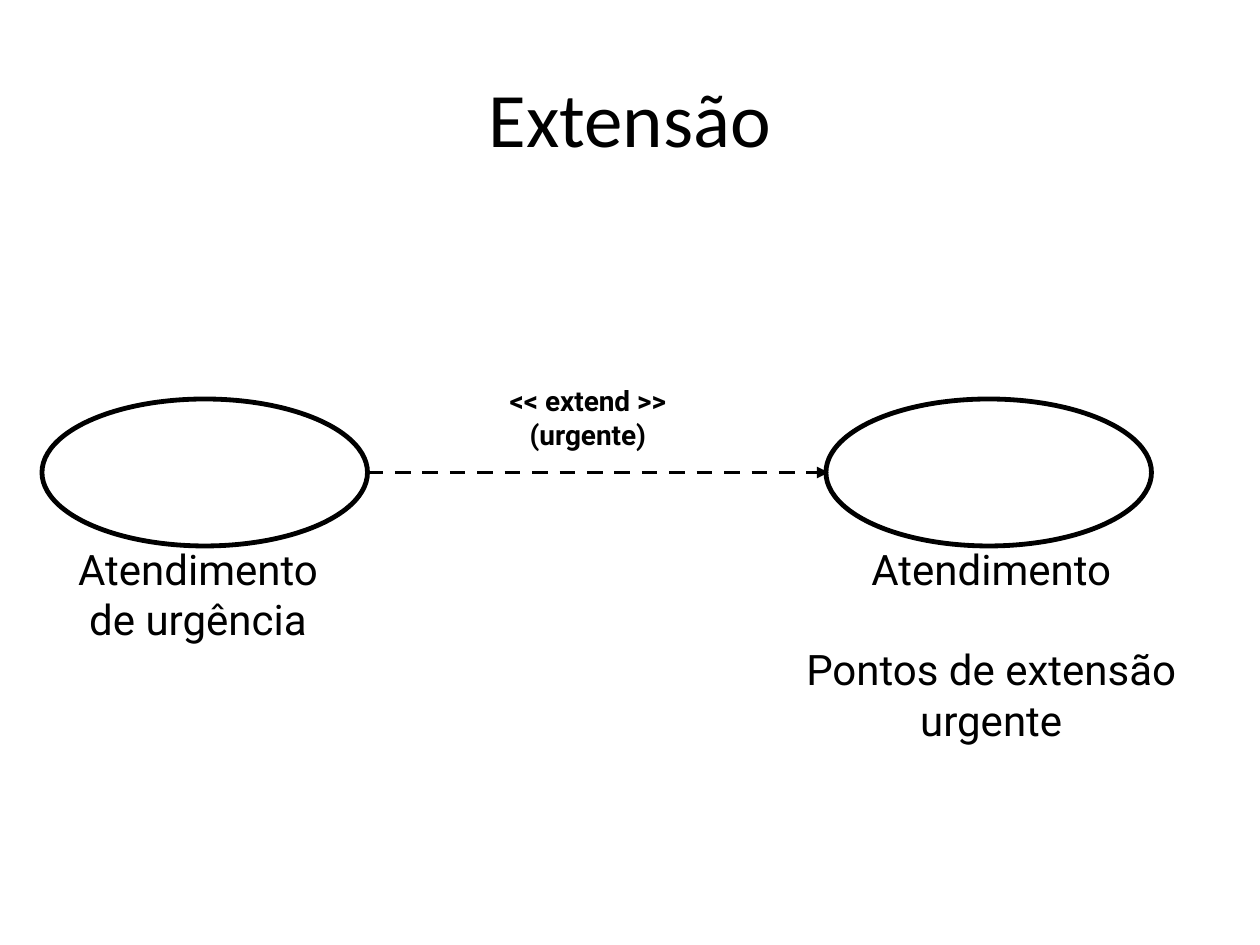
from dataclasses import dataclass

import pptx
import pptx.dml.color
import pptx.enum.dml
import pptx.enum.shapes
import pptx.enum.text
import pptx.oxml
import pptx.oxml.ns
import pptx.util

Pt = pptx.util.Pt


@dataclass(frozen=True)
class Theme:
    ink: pptx.dml.color.RGBColor = pptx.dml.color.RGBColor(0, 0, 0)
    title_font: str = "Calibri"
    body_font: str = "Roboto"
    title_size: float = 44
    name_size: float = 24
    stereotype_size: float = 16
    outline: float = 2.75
    arrow: float = 2.25
    blank_line: float = 28.5


THEME = Theme()


def set_font(paragraph, name, size, bold=False):
    paragraph.alignment = pptx.enum.text.PP_ALIGN.CENTER
    formats = {"name": name, "size": Pt(size), "bold": bold}
    for attribute, value in formats.items():
        setattr(paragraph.font, attribute, value)
    paragraph.font.color.rgb = THEME.ink


def set_line(line, width):
    line.color.rgb = THEME.ink
    line.width = Pt(width)


def place_title(slide, box, text):
    title = slide.shapes.title
    for side, length in zip(("left", "top", "width", "height"), box):
        setattr(title, side, Pt(length))
    title.text_frame.text = text
    title.text_frame.vertical_anchor = pptx.enum.text.MSO_ANCHOR.MIDDLE
    set_font(title.text_frame.paragraphs[0], THEME.title_font, THEME.title_size)


def add_label(slide, box, lines, size, bold=False):
    """Add centred lines and return their paragraphs."""
    frame = slide.shapes.add_textbox(*map(Pt, box)).text_frame
    frame.word_wrap = False
    frame.auto_size = pptx.enum.text.MSO_AUTO_SIZE.SHAPE_TO_FIT_TEXT
    frame.text = "\n".join(lines)
    for paragraph in frame.paragraphs:
        set_font(paragraph, THEME.body_font, size, bold)
    return frame.paragraphs


def add_use_case(slide, box, label_box, name_lines, extension_points=()):
    """Add an ellipse with its name, and any extension points, below it."""
    ellipse = slide.shapes.add_shape(
        pptx.enum.shapes.MSO_SHAPE.OVAL, *map(Pt, box))
    ellipse.shadow.inherit = False
    ellipse.fill.background()
    set_line(ellipse.line, THEME.outline)
    lines = [*name_lines, *extension_points]
    paragraphs = add_label(slide, label_box, lines, THEME.name_size)
    if extension_points:
        paragraphs[len(name_lines)].space_before = Pt(THEME.blank_line)


def add_extend_arrow(slide, start, end, y):
    arrow = slide.shapes.add_connector(
        pptx.enum.shapes.MSO_CONNECTOR.STRAIGHT, Pt(start), Pt(y), Pt(end), Pt(y))
    set_line(arrow.line, THEME.arrow)
    arrow.line.dash_style = pptx.enum.dml.MSO_LINE.DASH
    tail = pptx.oxml.ns.qn("a:tailEnd")
    arrow.line._get_or_add_ln().append(pptx.oxml.parse_xml(
        f'<a:tailEnd {pptx.oxml.ns.nsdecls("a")} type="triangle"/>'))
    arrow._element.spPr.append(pptx.oxml.parse_xml(
        f'<a:effectLst {pptx.oxml.ns.nsdecls("a")}/>'))


def add_extension_diagram(slide, box):
    left, top, width, height = box
    case_width = 186
    right = left + width - case_width
    label_top = top + height - 5
    add_use_case(slide, (right, top, case_width, height),
                 (right - 23.7, label_top, 236.2, 122.4),
                 ["Atendimento"], ["Pontos de extensão", "urgente"])
    add_use_case(slide, (left, top, case_width, height),
                 (left + 8.5, label_top, 161.3, 64.8),
                 ["Atendimento", "de urgência"])
    add_extend_arrow(slide, left + case_width, right + 1.5, top + height / 2)
    add_label(slide, (left + 254.7, top - 12.2, 114.5, 46),
              ["<< extend >>", "(urgente)"], THEME.stereotype_size, bold=True)


def main():
    presentation = pptx.Presentation()
    presentation.slide_width, presentation.slide_height = Pt(720), Pt(540)
    slide = presentation.slides.add_slide(presentation.slide_layouts[5])
    place_title(slide, (36, 21.6, 648, 90), "Extensão")
    add_extension_diagram(slide, (24, 228, 634, 84))
    presentation.save("out.pptx")


if __name__ == "__main__":
    main()
